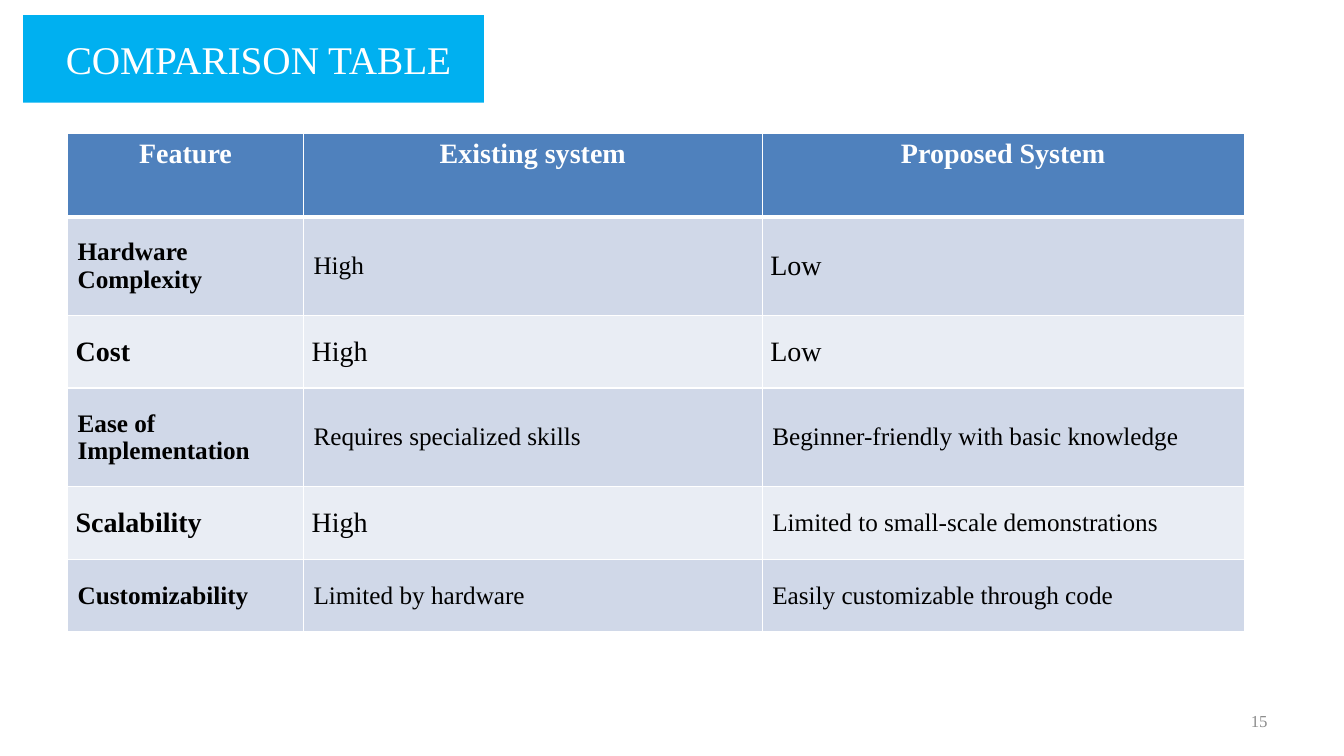
from lxml.etree import SubElement
from pptx import Presentation
from pptx.dml.color import RGBColor
from pptx.enum.shapes import MSO_SHAPE
from pptx.enum.text import MSO_ANCHOR, PP_ALIGN
from pptx.oxml.ns import qn
from pptx.util import Emu, Pt

PX = 9144
COLORS = {
    "white": "FFFFFF", "black": "000000", "gray": "8C8C8C", "cyan": "00B0F0",
    "header": "4F81BD", "odd": "D0D8E8", "even": "E9EDF4",
}
HEADINGS = ["Feature", "Existing system", "Proposed System"]
ROWS = [
    [("Hardware Complexity", 18), ("High", 18), ("Low", 20)],
    [("Cost", 20), ("High", 20), ("Low", 20)],
    [("Ease of Implementation", 18), ("Requires specialized skills", 18),
     ("Beginner-friendly with basic knowledge", 18)],
    [("Scalability", 20), ("High", 20), ("Limited to small-scale demonstrations", 18)],
    [("Customizability", 18), ("Limited by hardware", 18),
     ("Easily customizable through code", 18)],
]
COL_WIDTHS = [234, 455, 478]
ROW_HEIGHTS = [83, 98, 72, 98, 72, 72]


def px(n):
    return Emu(n * PX)


def rgb(name):
    return RGBColor.from_string(COLORS[name])


def write(tf, text, size=18, color="black", bold=False, align=PP_ALIGN.LEFT,
          font="Times New Roman"):
    tf.word_wrap = True
    p = tf.paragraphs[0]
    p.alignment = align
    r = p.add_run()
    r.text = text
    r.font.name = font
    r.font.size = Pt(size)
    r.font.bold = bold
    r.font.color.rgb = rgb(color)


class SlideBuilder:
    def __init__(self, prs):
        self.s = prs.slides.add_slide(prs.slide_layouts[6])

    def banner(self, text, x, y, w, h):
        sp = self.s.shapes.add_shape(MSO_SHAPE.RECTANGLE, px(x), px(y), px(w), px(h))
        sp.shadow.inherit = False
        sp.fill.solid()
        sp.fill.fore_color.rgb = rgb("cyan")
        sp.line.fill.background()
        sp.text_frame.vertical_anchor = MSO_ANCHOR.MIDDLE
        write(sp.text_frame, text, size=28, color="white", align=PP_ALIGN.CENTER)

    def page_number(self, text, x, y, w, h):
        tf = self.s.shapes.add_textbox(px(x), px(y), px(w), px(h)).text_frame
        tf.vertical_anchor = MSO_ANCHOR.MIDDLE
        write(tf, text, size=12, color="gray", align=PP_ALIGN.RIGHT)

    def border(self, cell, side, width):
        ln = SubElement(cell._tc.get_or_add_tcPr(), qn(f"a:ln{side}"), w=str(Pt(width)))
        SubElement(SubElement(ln, qn("a:solidFill")), qn("a:srgbClr"), val=COLORS["white"])

    def style_cell(self, cell, fill, top=1, bottom=1):
        for side, width in zip("LRTB", (1, 1, top, bottom)):
            self.border(cell, side, width)
        cell.fill.solid()
        cell.fill.fore_color.rgb = rgb(fill)

    def table(self, headings, rows, x, y, widths, heights):
        frame = self.s.shapes.add_table(len(heights), len(widths), px(x), px(y),
                                        px(sum(widths)), px(sum(heights)))
        tbl = frame.table
        for col, width in zip(tbl.columns, widths):
            col.width = px(width)
        for row, height in zip(tbl.rows, heights):
            row.height = px(height)
        for j, text in enumerate(headings):
            cell = tbl.cell(0, j)
            self.style_cell(cell, "header", bottom=3)
            write(cell.text_frame, text, size=20, color="white", bold=True,
                  align=PP_ALIGN.CENTER)
        for i, row in enumerate(rows, 1):
            for j, (text, size) in enumerate(row):
                cell = tbl.cell(i, j)
                self.style_cell(cell, "odd" if i % 2 else "even", top=3 if i == 1 else 1)
                cell.vertical_anchor = MSO_ANCHOR.MIDDLE
                if size == 20:
                    cell.margin_left = cell.margin_right = px(8)
                    cell.margin_top = cell.margin_bottom = px(4)
                write(cell.text_frame, text, size=size, bold=j == 0)


def main():
    prs = Presentation()
    prs.slide_width, prs.slide_height = px(1333), px(750)
    slide = SlideBuilder(prs)
    slide.page_number("15", 956, 695, 311, 40)
    slide.banner(" COMPARISON TABLE", 23, 15, 457, 87)
    slide.table(HEADINGS, ROWS, 67, 132, COL_WIDTHS, ROW_HEIGHTS)
    prs.save("out.pptx")


if __name__ == "__main__":
    main()
